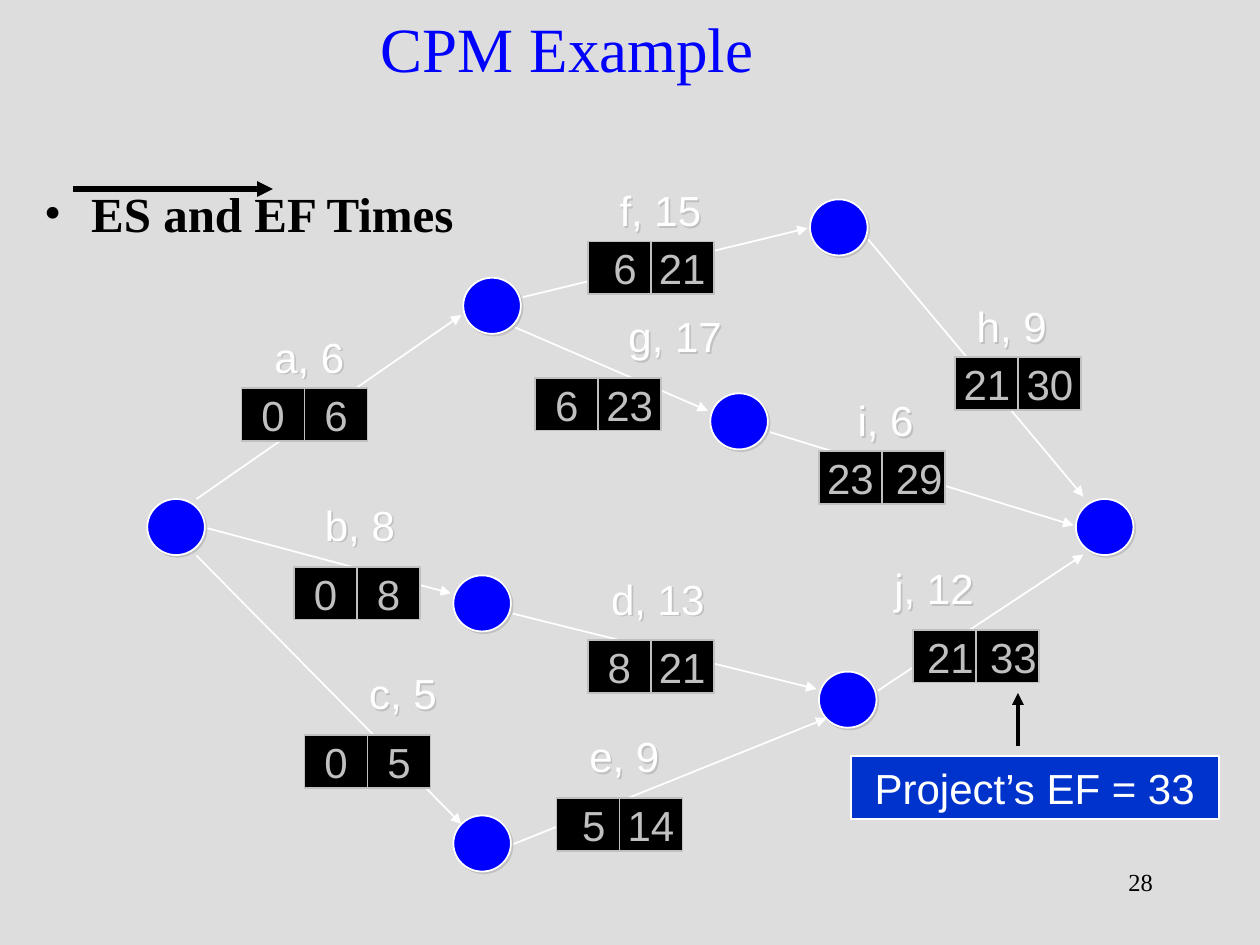
from dataclasses import dataclass

from lxml.etree import SubElement
from pptx import Presentation
from pptx.dml.color import RGBColor
from pptx.enum.shapes import MSO_CONNECTOR, MSO_SHAPE
from pptx.enum.text import MSO_ANCHOR, MSO_AUTO_SIZE, PP_ALIGN
from pptx.oxml import parse_xml
from pptx.oxml.ns import nsdecls, qn
from pptx.util import Cm, Pt


@dataclass(frozen=True)
class Theme:
    background: str = "DDDDDD"
    blue: str = "0000FF"
    callout: str = "0033CC"
    white: str = "FFFFFF"
    black: str = "000000"
    silver: str = "C0C0C0"
    serif: str = "Times New Roman"
    sans: str = "Arial"
    title_size: int = 36
    heading_size: int = 28
    body_size: int = 24
    number_size: int = 14


@dataclass(frozen=True)
class Activity:
    name: str
    duration: int
    start: tuple
    end: tuple
    label: tuple
    label_width: float
    cells: tuple
    times: tuple


THEME = Theme()
NODE_WIDTH, NODE_HEIGHT = 1.16, 1.13
CELL_WIDTH, CELL_HEIGHT = 1.27, 1.06
LABEL_HEIGHT = 1.27

NODES = [
    (2.97, 10.06), (21.69, 10.06), (9.34, 5.6), (14.32, 7.93),
    (9.14, 16.44), (9.14, 11.6), (16.51, 13.54), (16.33, 4.02),
]

ACTIVITIES = [
    Activity("a", 6, (3.96, 10.06), (9.3, 6.35), (5.28, 6.55), 1.94, (4.87, 7.83), ("0", "6")),
    Activity("b", 8, (4.15, 10.64), (9.09, 11.96), (6.3, 9.94), 1.94, (5.93, 11.43), ("0", "8")),
    Activity("c", 5, (3.96, 11.2), (9.3, 16.61), (7.19, 13.34), 1.92, (6.14, 14.82), ("0", "5")),
    Activity("d", 13, (10.34, 12.37), (16.46, 13.89), (12.07, 11.43), 2.42, (11.85, 12.91), ("8", "21")),
    Activity("e", 9, (10.34, 17.02), (16.66, 14.48), (11.63, 14.61), 1.94, (11.22, 16.09), (" 5", "14")),
    Activity("f", 15, (10.54, 5.99), (16.28, 4.6), (12.24, 3.6), 2.2, (11.85, 4.87), (" 6", "21")),
    Activity("g", 17, (10.34, 6.58), (14.27, 8.28), (12.42, 6.14), 2.42, (10.79, 7.62), ("6", "23")),
    Activity("h", 9, (17.48, 4.8), (21.84, 10.01), (19.44, 5.93), 1.94, (19.26, 7.2), ("21", "30")),
    Activity("i", 6, (15.52, 8.71), (21.64, 10.59), (17.04, 7.83), 1.66, (16.51, 9.1), ("23", " 29")),
    Activity("j", 12, (17.7, 13.92), (21.84, 11.18), (17.78, 11.22), 2.14, (18.41, 12.7), (" 21", " 33")),
]


def color(value):
    return RGBColor.from_string(value)


def add_shadow(shape):
    shape.shadow.inherit = False
    effects = shape._element.spPr.find(qn("a:effectLst"))
    shadow = SubElement(effects, qn("a:outerShdw"), dist=str(Pt(1.4)), dir="2700000")
    SubElement(shadow, qn("a:srgbClr"), val=THEME.silver)


def write_text(shape, text, size, font_name, font_color, alignment=PP_ALIGN.LEFT, wrap=True):
    frame = shape.text_frame
    frame.word_wrap = wrap
    paragraph = frame.paragraphs[0]
    paragraph.text = text
    paragraph.alignment = alignment
    paragraph.font.size = Pt(size)
    paragraph.font.name = font_name
    paragraph.font.color.rgb = color(font_color)
    return paragraph


def add_text(slide, box, *text_options, **alignment_options):
    shape = slide.shapes.add_textbox(*map(Cm, box))
    return shape, write_text(shape, *text_options, **alignment_options)


def add_filled_shape(slide, kind, box, fill, outline):
    shape = slide.shapes.add_shape(kind, *map(Cm, box))
    shape.shadow.inherit = False
    shape.fill.solid()
    shape.fill.fore_color.rgb = color(fill)
    shape.line.color.rgb = color(outline)
    shape.line.width = Pt(1)
    return shape


def add_box(slide, box, text, fill, outline, font_color):
    shape = add_filled_shape(slide, MSO_SHAPE.RECTANGLE, box, fill, outline)
    shape.text_frame.vertical_anchor = MSO_ANCHOR.MIDDLE
    write_text(shape, text, THEME.body_size, THEME.sans, font_color, PP_ALIGN.CENTER, wrap=False)


def add_node(slide, position):
    box = (*position, NODE_WIDTH, NODE_HEIGHT)
    add_shadow(add_filled_shape(slide, MSO_SHAPE.OVAL, box, THEME.blue, THEME.white))


def add_arrow(slide, start, end, line_color, width):
    connector = slide.shapes.add_connector(MSO_CONNECTOR.STRAIGHT, *map(Cm, (*start, *end)))
    connector.line.color.rgb = color(line_color)
    connector.line.width = Pt(width)
    SubElement(connector.line._get_or_add_ln(), qn("a:tailEnd"), type="triangle")
    SubElement(connector._element.spPr, qn("a:effectLst"))


def add_label(slide, activity):
    box = (*activity.label, activity.label_width, LABEL_HEIGHT)
    text = f"{activity.name}, {activity.duration}"
    shape, _ = add_text(slide, box, text, THEME.body_size, THEME.sans, THEME.white, wrap=False)
    shape.text_frame.auto_size = MSO_AUTO_SIZE.SHAPE_TO_FIT_TEXT
    add_shadow(shape)


def add_times(slide, activity):
    left, top = activity.cells
    for index, time in enumerate(activity.times):
        box = (left + index * CELL_WIDTH, top, CELL_WIDTH, CELL_HEIGHT)
        add_box(slide, box, time, THEME.black, THEME.silver, THEME.silver)


def add_heading(slide):
    _, paragraph = add_text(slide, (0.64, 3.81, 21.59, 1.22), "ES and EF Times",
                            THEME.heading_size, THEME.serif, THEME.black)
    paragraph.font.bold = True
    paragraph.line_spacing = 0.8
    paragraph.space_before = Pt(7)
    properties = paragraph._p.get_or_add_pPr()
    properties.set("marL", str(Cm(0.95)))
    properties.set("indent", str(Cm(-0.95)))
    for markup in (f'<a:buFont {nsdecls("a")} typeface="{THEME.serif}"/>',
                   f'<a:buChar {nsdecls("a")} char="•"/>'):
        properties.find(qn("a:defRPr")).addprevious(parse_xml(markup))


def main():
    presentation = Presentation()
    presentation.slide_width, presentation.slide_height = Cm(25.4), Cm(19.05)
    slide = presentation.slides.add_slide(presentation.slide_layouts[6])
    slide.background.fill.solid()
    slide.background.fill.fore_color.rgb = color(THEME.background)

    title, _ = add_text(slide, (0.64, 0, 21.59, 1.91), "CPM Example", THEME.title_size,
                        THEME.serif, THEME.blue, PP_ALIGN.CENTER)
    title.text_frame.vertical_anchor = MSO_ANCHOR.MIDDLE
    add_heading(slide)
    add_text(slide, (18.21, 17.35, 5.28, 1.27), "28", THEME.number_size,
             THEME.serif, THEME.black, PP_ALIGN.RIGHT)

    for activity in ACTIVITIES:
        add_arrow(slide, activity.start, activity.end, THEME.white, 1)
    for position in NODES:
        add_node(slide, position)
    for activity in ACTIVITIES:
        add_label(slide, activity)
        add_times(slide, activity)

    add_arrow(slide, (1.48, 3.81), (5.5, 3.81), THEME.black, 3)
    add_box(slide, (17.15, 15.24, 7.42, 1.27), "Project’s EF = 33",
            THEME.callout, THEME.white, THEME.white)
    add_arrow(slide, (20.52, 15.04), (20.52, 13.97), THEME.black, 2.25)
    presentation.save("out.pptx")


if __name__ == "__main__":
    main()
